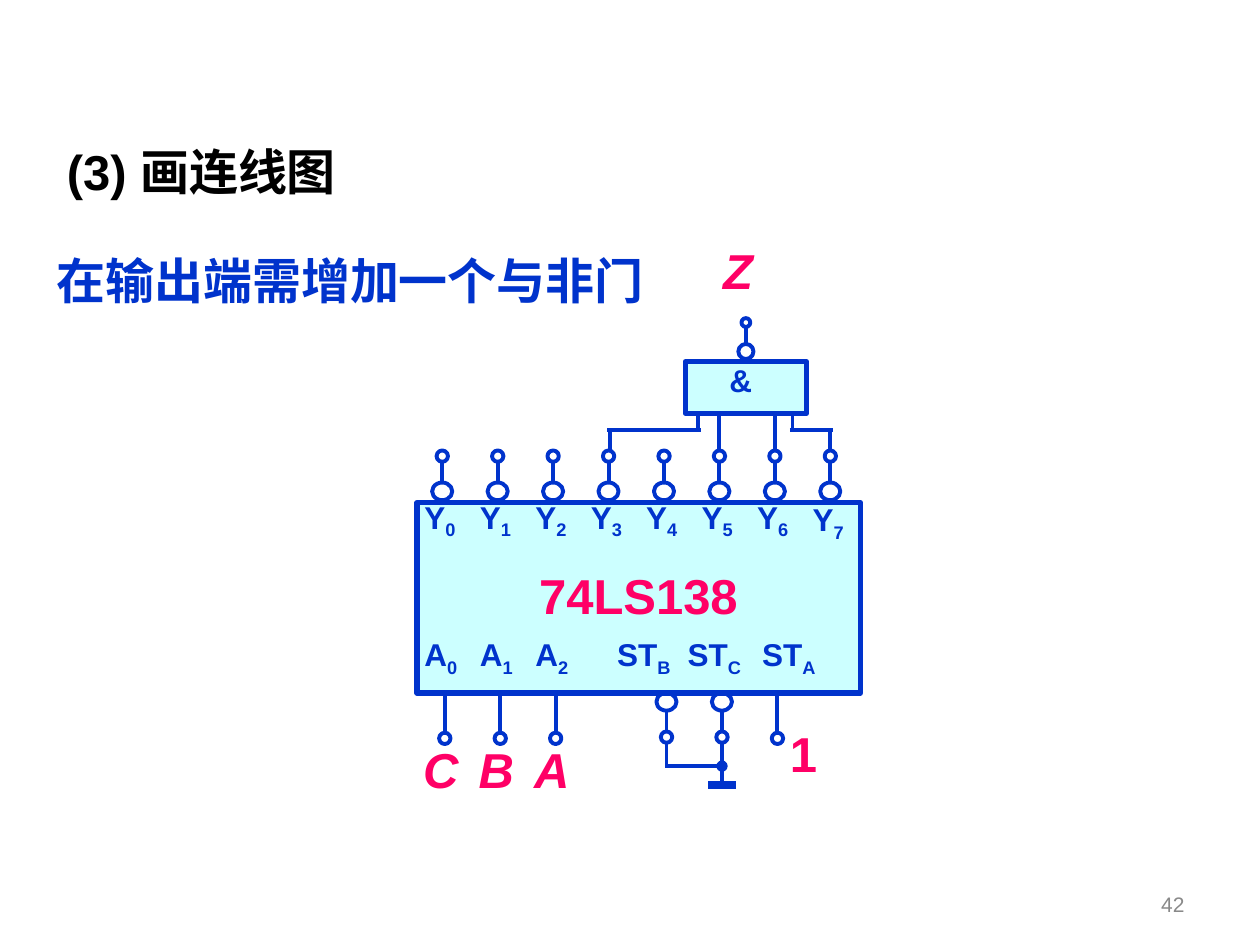
from pptx import Presentation
from pptx.dml.color import RGBColor
from pptx.enum.shapes import MSO_CONNECTOR, MSO_SHAPE
from pptx.enum.text import MSO_ANCHOR, MSO_AUTO_SIZE, PP_ALIGN
from pptx.oxml.ns import qn
from pptx.util import Inches, Pt
from lxml.etree import SubElement

HUES = {name: RGBColor.from_string(code) for name, code in {
    "ink": "000000", "blue": "0033CC", "pink": "FF0066",
    "pale": "CCFFFF", "gray": "898989"}.items()}

deck = Presentation()
deck.slide_width, deck.slide_height = Inches(10), Inches(7.5)
slide = deck.slides.add_slide(deck.slide_layouts[5])
shapes = slide.shapes

# Pin columns of the chip, in inches
STEP = 0.44
TOP = [3.51 + STEP * i for i in range(8)]
LOW = [3.53 + STEP * i for i in range(7)]


def label(words, x, y, wide, high, size=18, hue="blue", sub="", slant=False, box=None):
    """Write bold words, with an optional subscript, in a new or given box."""
    box = box or shapes.add_textbox(0, 0, 0, 0)
    box.left, box.top, box.width, box.height = map(Inches, (x, y, wide, high))
    frame = box.text_frame
    frame.text = words
    frame.word_wrap = True
    frame.auto_size = MSO_AUTO_SIZE.NONE
    frame.vertical_anchor = MSO_ANCHOR.TOP
    para = frame.paragraphs[0]
    para.alignment = PP_ALIGN.LEFT
    if sub:
        para.add_run().text = sub
        para.runs[1].font._element.set("baseline", "-25000")
    for run in para.runs:
        font = run.font
        font.name, font.size = "Arial", Pt(size)
        font.bold, font.italic = True, slant
        font.color.rgb = HUES[hue]
    return para


def wire(x1, y1, x2, y2, width=2.25):
    line = shapes.add_connector(MSO_CONNECTOR.STRAIGHT, *map(Inches, (x1, y1, x2, y2)))
    line.line.color.rgb = HUES["blue"]
    line.line.width = Pt(width)
    SubElement(line._element.spPr, qn("a:effectLst"))


# Headings
label("(3) 画连线图", 0.43, 1.07, 6.04, 0.57, 28, "ink", box=shapes.title)
label("在输出端需增加一个与非门", 0.35, 1.94, 7.42, 0.57, 28)

# Chip and gate bodies
for x, y, wide, high in [(3.31, 3.99, 3.52, 1.51), (5.44, 2.87, 0.96, 0.41)]:
    body = shapes.add_shape(MSO_SHAPE.RECTANGLE, *map(Inches, (x, y, wide, high)))
    body.shadow.inherit = False
    body.fill.solid()
    body.fill.fore_color.rgb = HUES["pale"]
    body.line.color.rgb = HUES["blue"]
    body.line.width = Pt(3)

# Rings: centre x, centre y, width, height
rings = [(5.92, 2.79, 0.12, 0.12), (5.92, 2.56, 0.07, 0.07)]
for x in TOP:
    rings += [(x, 3.9, 0.16, 0.14), (x, 3.62, 0.09, 0.09)]
    wire(x, 3.67, x, 3.84)
for i in (0, 1, 2, 6):
    rings.append((LOW[i], 5.86, 0.09, 0.09))
    wire(LOW[i], 5.49, LOW[i], 5.82)
for x in LOW[4:6]:
    rings += [(x, 5.57, 0.16, 0.14), (x, 5.85, 0.09, 0.09)]
    wire(x, 5.64, x, 5.81)
node = (LOW[5], 6.08, 0.08, 0.08)
for ring in rings + [node]:
    x, y, wide, high = ring
    oval = shapes.add_shape(
        MSO_SHAPE.OVAL, *map(Inches, (x - wide / 2, y - high / 2, wide, high)))
    oval.shadow.inherit = False
    oval.line.color.rgb = HUES["blue"]
    if ring == node:
        oval.fill.solid()
        oval.fill.fore_color.rgb = HUES["blue"]
        oval.line.width = Pt(0.75)
    else:
        oval.fill.background()
        oval.line.width = Pt(2.25)

# Gate wiring: output, two straight inputs, two bent inputs
wire(5.92, 2.59, 5.92, 2.73)
for x in TOP[5:7]:
    wire(x, 3.27, x, 3.58)
for pin, port, out in [(TOP[3] + 0.01, 5.54, -1), (TOP[7], 6.29, 1)]:
    wire(port, 3.27, port, 3.41)
    wire(port - out * 0.02, 3.41, pin + out * 0.02, 3.41)
    wire(pin, 3.41, pin, 3.58)

# Ground wiring
wire(LOW[5], 5.9, LOW[5], 6.23)
wire(LOW[5] - 0.11, 6.23, LOW[5] + 0.11, 6.23, 4.5)
wire(LOW[4], 5.9, LOW[4], 6.08)
wire(LOW[4] - 0.01, 6.08, LOW[5], 6.08)

# Pin names
for i, x in enumerate(TOP):
    label("Y", x - 0.24, 3.92 if i == 7 else 3.9, 1.02, 0.44, sub=str(i))
for i, name in enumerate("CBA"):
    label("A", TOP[i] - 0.24, 4.99, 1.02, 0.44, sub=str(i))
    label(name, LOW[i] - 0.27, 5.82, 0.48, 0.57, 28, "pink", slant=True)
for x, sub in [(4.8, "B"), (5.36, "C"), (5.95, "A")]:
    label("ST", x, 4.99, 1.02, 0.44, sub=sub)
label("74LS138", 4.18, 4.44, 2.92, 0.57, 28, "pink")
label("&", 5.69, 2.82, 0.61, 0.4)
label("Z", 5.64, 1.86, 0.54, 0.57, 28, "pink", slant=True)
label("1", 6.17, 5.69, 0.41, 0.57, 28, "pink")

# Page number
page = label("42", 7.17, 7.03, 2.33, 0.3, 12, "gray")
page.alignment = PP_ALIGN.RIGHT
page.runs[0].font.bold = False

deck.save("out.pptx")
